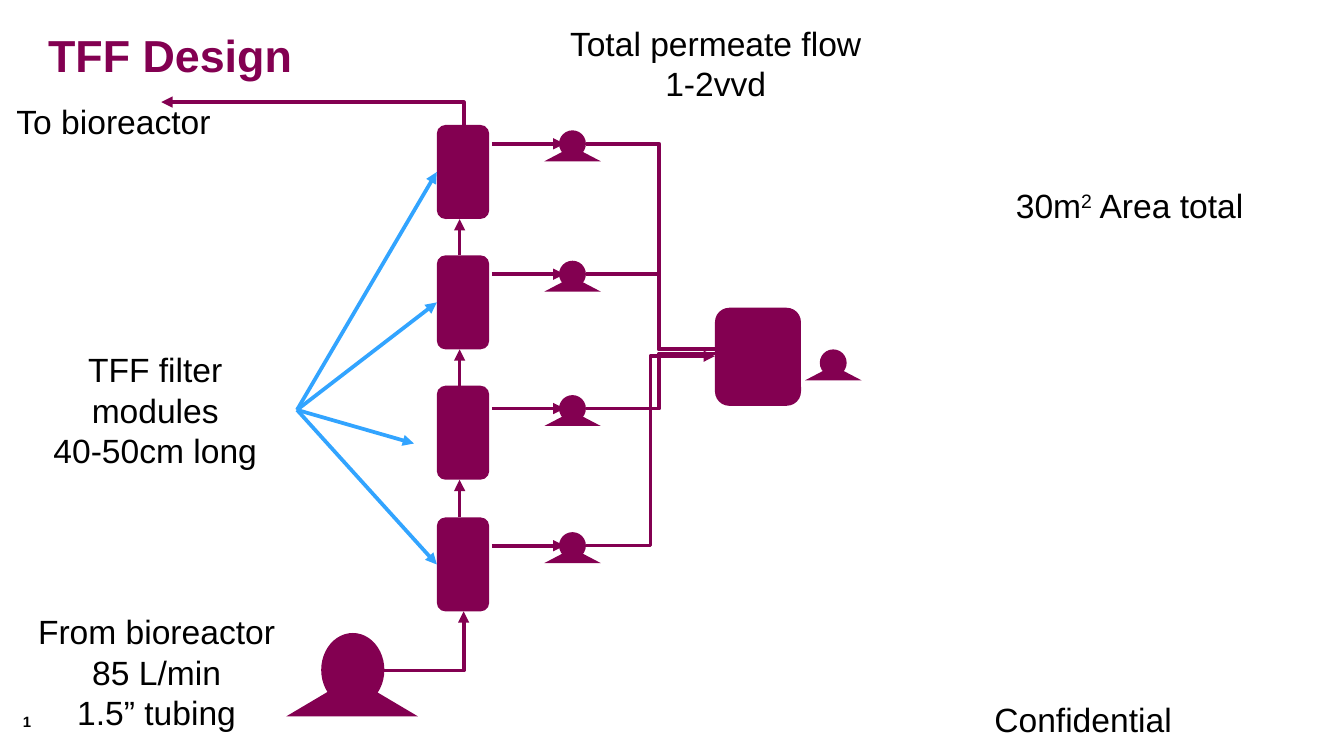
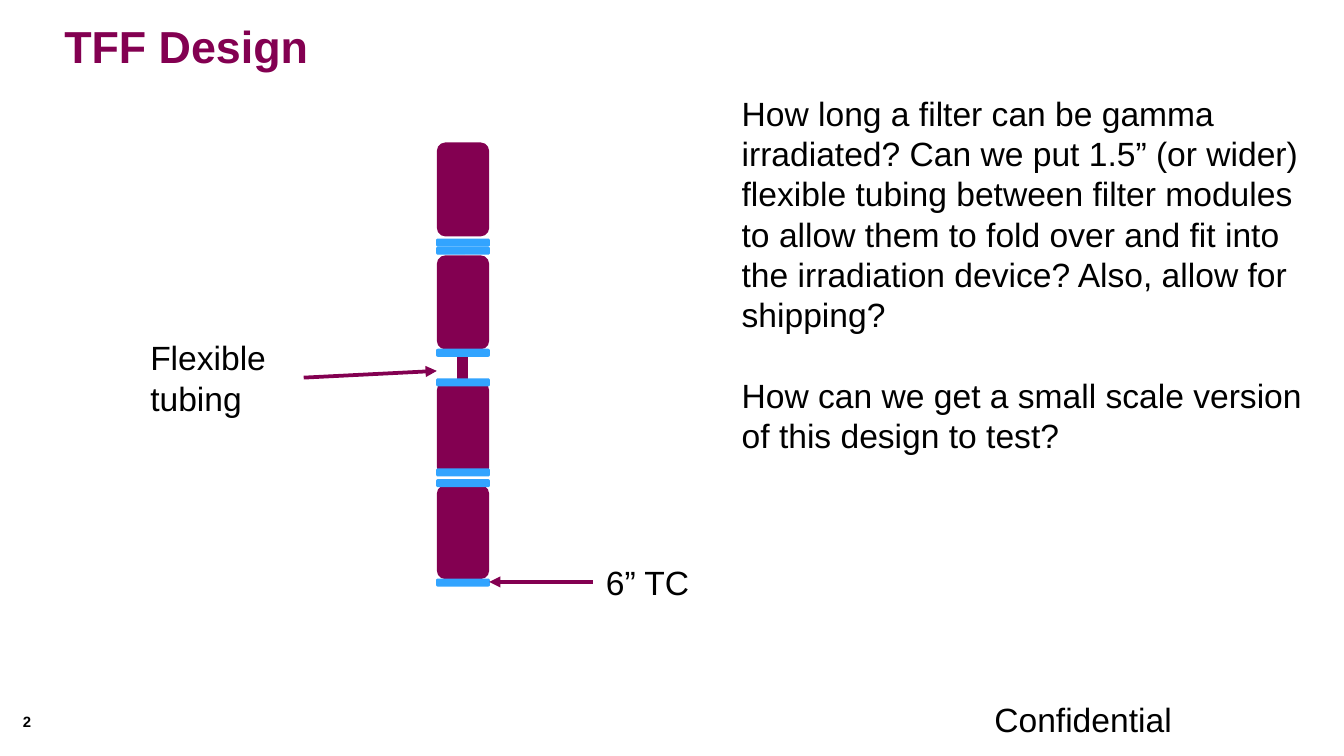
from lxml.etree import SubElement
from pptx import Presentation
from pptx.dml.color import RGBColor
from pptx.enum.shapes import MSO_CONNECTOR, MSO_SHAPE
from pptx.enum.text import PP_ALIGN
from pptx.oxml.ns import qn
from pptx.util import Inches, Pt

PLUM = RGBColor(0x83, 0x00, 0x51)
BLUE = RGBColor(0x32, 0xA4, 0xFF)
BLACK = RGBColor(0, 0, 0)

BODY = {"name": "Arial", "size": Pt(18), "bold": False}
TITLE = {"name": "Arial", "size": Pt(24), "bold": True}
NUMBER = {"name": "Arial", "size": Pt(8), "bold": True}

# Paragraphs and (left, top, width, height); ^ encloses a superscript.
FLOW_LABELS = [
    (["TFF filter modules", "40-50cm long"], (0.1, 2.55, 2.11, 1.01)),
    (["From bioreactor", "85 L/min", "1.5” tubing"], (-0.13, 4.5, 2.59, 1.01)),
    (["To bioreactor"], (-0.07, 0.7, 1.83, 0.4)),
    (["Total permeate flow", "1-2vvd"], (4.03, 0.12, 2.59, 0.71)),
    (["30m^2^ Area total"], (7.35, 1.33, 2.11, 0.4)),
]
STACK_LABELS = [
    (["How long a filter can be gamma irradiated? Can we put 1.5” (or wider) "
      "flexible tubing between filter modules to allow them to fold over and "
      "fit into the irradiation device? Also, allow for shipping?",
      "How can we get a small scale version of this design to test?"],
     (5.42, 0.64, 4.55, 3.13)),
    (["6” TC"], (4.41, 4.13, 0.85, 0.4)),
    (["Flexible tubing"], (1.02, 2.46, 1.23, 0.71)),
]

MODULE_LEFT, MODULE_WIDTH, MODULE_HEIGHT = 3.25, 0.39, 0.7
MODULE_TOPS = [0.93, 1.9, 2.87, 3.85]
STACK_TOPS = [1.06, 1.9, 2.84, 3.61]
CLAMP_TOPS = [1.78, 1.84, 2.6, 2.82, 3.49, 3.57, 4.31]

# Height of each permeate line, then where it reaches the collection vessel.
PERMEATE_LINES = [(1.07, (5.45, 2.6)), (2.04, (5.45, 2.6)),
                  (3.04, (5.45, 2.63)), (4.06, (5.32, 2.65))]
POINTER_START = (2.21, 3.05)
POINTER_ENDS = [(3.25, 1.28), (3.25, 2.25), (3.08, 3.3), (3.25, 4.2)]

# Head size, then base offset from the head and base size.
SMALL_PUMP = ((0.2, 0.2), (-0.11, 0.12), (0.42, 0.11))
LARGE_PUMP = ((0.47, 0.55), (-0.26, 0.33), (0.98, 0.29))


def add_text(slide, lines, area, font=BODY, color=BLACK, align=PP_ALIGN.LEFT,
             inset=(0.1, 0.05), gap=0):
    box = slide.shapes.add_textbox(*map(Inches, area))
    frame = box.text_frame
    frame.word_wrap = True
    frame.margin_left = frame.margin_right = Inches(inset[0])
    frame.margin_top = frame.margin_bottom = Inches(inset[1])
    for index, line in enumerate(lines):
        para = frame.paragraphs[0] if index == 0 else frame.add_paragraph()
        para.alignment = align
        if index and gap:
            para.space_before = Pt(gap)
        for part, text in enumerate(line.split("^")):
            span = para.add_run()
            span.text = text
            for name, value in font.items():
                setattr(span.font, name, value)
            span.font.color.rgb = color
            if part % 2:
                span._r.get_or_add_rPr().set("baseline", "30000")


def add_block(shapes, kind, area, color=PLUM, outlined=False):
    block = shapes.add_shape(kind, *map(Inches, area))
    block.shadow.inherit = False
    block.fill.solid()
    block.fill.fore_color.rgb = color
    if outlined:
        block.line.color.rgb = color
        block.line.width = Pt(0.75)
    else:
        block.line.fill.background()


def add_line(slide, start, end, color=PLUM, width=2, arrow="tailEnd", bends=0):
    """Draw a line with 0, 1 or 2 bends; arrow is tailEnd, headEnd or None."""
    kind = MSO_CONNECTOR.ELBOW if bends else MSO_CONNECTOR.STRAIGHT
    line = slide.shapes.add_connector(kind, *map(Inches, (*start, *end)))
    line.line.color.rgb = color
    line.line.width = Pt(width)
    properties = line._element.spPr
    if bends == 1:
        properties.find(qn("a:prstGeom")).set("prst", "bentConnector2")
    if arrow:
        SubElement(line.get_or_add_ln(), qn(f"a:{arrow}"), type="triangle")
    SubElement(properties, qn("a:effectLst"))


def add_module(slide, top):
    add_block(slide.shapes, MSO_SHAPE.ROUNDED_RECTANGLE,
              (MODULE_LEFT, top, MODULE_WIDTH, MODULE_HEIGHT))


def add_pump(slide, left, top, pump=SMALL_PUMP):
    head, offset, base = pump
    group = slide.shapes.add_group_shape()
    add_block(group.shapes, MSO_SHAPE.OVAL, (left, top, *head))
    add_block(group.shapes, MSO_SHAPE.ISOSCELES_TRIANGLE,
              (left + offset[0], top + offset[1], *base))


def start_slide(deck, title_left, title_top):
    slide = deck.slides.add_slide(deck.slide_layouts[6])
    add_text(slide, [str(len(deck.slides))], (0.17, 5.3, 0.43, 0.18),
             NUMBER, inset=(0, 0))
    add_text(slide, ["TFF Design"], (title_left, title_top, 9.59, 0.55),
             TITLE, PLUM)
    add_text(slide, ["Confidential"], (7.3, 5.15, 1.91, 0.4))
    return slide


def build_flow(deck):
    slide = start_slide(deck, 0.26, 0.16)
    for top in MODULE_TOPS:
        add_module(slide, top)
    for upper, lower in zip(MODULE_TOPS, MODULE_TOPS[1:]):
        add_line(slide, (3.42, lower), (3.42, upper + MODULE_HEIGHT))
    for height, vessel_end in PERMEATE_LINES:
        add_line(slide, (3.66, height), (4.2, height))
        add_pump(slide, 4.16, height - 0.1)
        add_line(slide, (4.36, height), vessel_end, bends=2)
    add_line(slide, (2.85, 4.99), (3.45, 4.55), bends=1)
    add_line(slide, (1.2, 0.76), (3.45, 0.93), arrow="headEnd", bends=1)
    for end in POINTER_ENDS:
        add_line(slide, POINTER_START, end, BLUE)
    add_pump(slide, 2.39, 4.71, LARGE_PUMP)
    add_block(slide.shapes, MSO_SHAPE.ROUNDED_RECTANGLE, (5.32, 2.29, 0.64, 0.73))
    add_pump(slide, 6.1, 2.6)
    for lines, area in FLOW_LABELS:
        add_text(slide, lines, area, align=PP_ALIGN.CENTER)


def build_stack(deck):
    slide = start_slide(deck, 0.38, 0.09)
    for top in STACK_TOPS:
        add_module(slide, top)
    add_line(slide, (3.44, 2.87), (3.44, 2.6), width=6, arrow=None)
    for top in CLAMP_TOPS:
        add_block(slide.shapes, MSO_SHAPE.ROUNDED_RECTANGLE,
                  (MODULE_LEFT, top, MODULE_WIDTH, 0.05), BLUE, outlined=True)
    for lines, area in STACK_LABELS:
        add_text(slide, lines, area, gap=21.6)
    add_line(slide, (4.41, 4.33), (3.64, 4.33))
    add_line(slide, (2.26, 2.81), (3.25, 2.76))


def main():
    deck = Presentation()
    deck.slide_width = Inches(10)
    deck.slide_height = deck.slide_width * 9 // 16
    build_flow(deck)
    build_stack(deck)
    deck.save("out.pptx")


if __name__ == "__main__":
    main()
